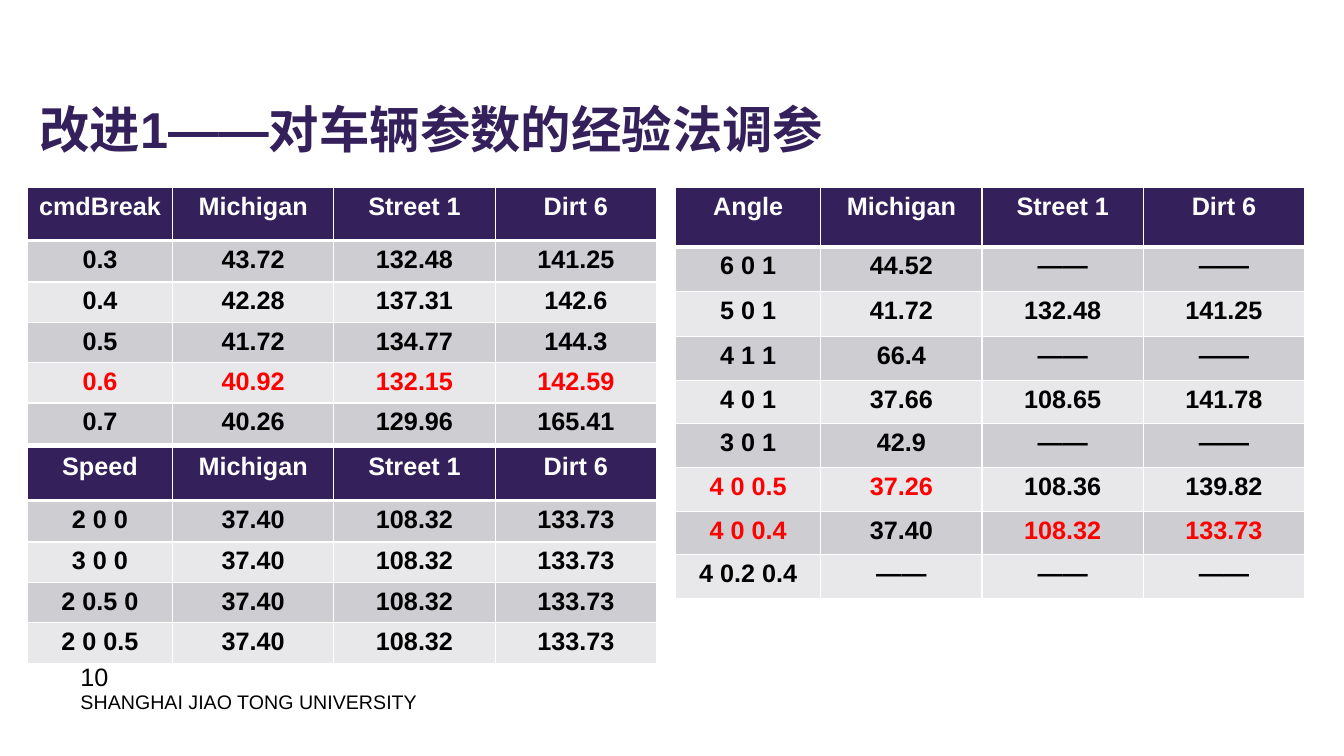
from dataclasses import dataclass

from lxml import etree
from pptx import Presentation
from pptx import util as u
from pptx.dml import color
from pptx.enum import text
from pptx.oxml import ns


@dataclass(frozen=True)
class Theme:
    font: str = "Arial"
    purple: str = "34205B"
    white: str = "FFFFFF"
    black: str = "000000"
    best: str = "FF0000"
    bands: tuple = ("CECDD2", "E8E8EA")
    title_size: int = 36
    body_size: int = 18
    footer_size: int = 14


theme = Theme()
deck = Presentation()
deck.slide_width, deck.slide_height = u.Pt(960), u.Pt(540)
page = deck.slides.add_slide(deck.slide_layouts[6])


def add_span(para, words, size, ink, bold=False):
    span = para.add_run()
    span.text = words
    span.font.name = theme.font
    span.font.size = u.Pt(size)
    span.font.bold = bold
    span.font.color.rgb = color.RGBColor.from_string(ink)


def add_border(cell, side, width):
    """Draw a white line on one side of a cell: L, R, T or B."""
    line = etree.SubElement(cell._tc.get_or_add_tcPr(), ns.qn(f"a:ln{side}"), w=str(u.Pt(width)))
    fill = etree.SubElement(line, ns.qn("a:solidFill"))
    etree.SubElement(fill, ns.qn("a:srgbClr"), val=theme.white)


# Footer and page number
for words, left, top, width, height, size in [
    ("SHANGHAI JIAO TONG UNIVERSITY", 50.4, 489, 366.5, 51, theme.footer_size),
    ("10", 50.4, 469, 34.6, 29, theme.body_size),
]:
    box = page.shapes.add_textbox(u.Pt(left), u.Pt(top), u.Pt(width), u.Pt(height))
    box.text_frame.word_wrap = True
    add_span(box.text_frame.paragraphs[0], words, size, theme.black)

# Title
title = page.shapes.add_textbox(u.Pt(28), u.Pt(53.3), u.Pt(788.4), u.Pt(82.8))
frame = title.text_frame
frame.word_wrap = True
frame.vertical_anchor = text.MSO_ANCHOR.MIDDLE
frame.margin_left = frame.margin_right = frame.margin_top = frame.margin_bottom = 0
frame.paragraphs[0].line_spacing = 0.9
add_span(frame.paragraphs[0], "改进1——对车辆参数的经验法调参", theme.title_size, theme.purple, bold=True)

# Lap-time tables: name of the tuned parameter, left, top, row heights, rows, best cells
tracks = ["Michigan", "Street 1", "Dirt 6"]
column_widths = [103.7, 115.2, 115.2, 115.2]
none = "——"
left_x, right_x, upper_y, lower_y = 19.6, 482.6, 133.9, 319.7

break_rows = [
    ["0.3", "43.72", "132.48", "141.25"],
    ["0.4", "42.28", "137.31", "142.6"],
    ["0.5", "41.72", "134.77", "144.3"],
    ["0.6", "40.92", "132.15", "142.59"],
    ["0.7", "40.26", "129.96", "165.41"],
]
angle_rows = [
    ["6 0 1", "44.52", none, none],
    ["5 0 1", "41.72", "132.48", "141.25"],
    ["4 1 1", "66.4", none, none],
    ["4 0 1", "37.66", "108.65", "141.78"],
    ["3 0 1", "42.9", none, none],
    ["4 0 0.5", "37.26", "108.36", "139.82"],
    ["4 0 0.4", "37.40", "108.32", "133.73"],
    ["4 0.2 0.4", none, none, none],
]
speed_rows = [[speed, "37.40", "108.32", "133.73"] for speed in ("2 0 0", "3 0 0", "2 0.5 0", "2 0 0.5")]

for parameter, left, top, heights, rows, best_cells in [
    ("cmdBreak", left_x, upper_y, [37.9, 29.6] + [28] * 4, break_rows, {(4, 0), (4, 1), (4, 2), (4, 3)}),
    ("Angle", right_x, upper_y, [42.5, 32, 32] + [31.2] * 6, angle_rows,
     {(6, 0), (6, 1), (7, 0), (7, 2), (7, 3)}),
    ("Speed", left_x, lower_y, [37.9, 29.6] + [28] * 3, speed_rows, set()),
]:
    grid = [[parameter] + tracks] + rows
    table = page.shapes.add_table(len(grid), len(column_widths), u.Pt(left), u.Pt(top),
                                  u.Pt(sum(column_widths)), u.Pt(sum(heights))).table
    for column, width in zip(table.columns, column_widths):
        column.width = u.Pt(width)
    for r, (values, height) in enumerate(zip(grid, heights)):
        table.rows[r].height = u.Pt(height)
        for c, value in enumerate(values):
            cell = table.cell(r, c)
            for side in "LRTB":
                at_header_edge = (r, side) in {(0, "B"), (1, "T")}
                add_border(cell, side, 3 if at_header_edge else 1)
            cell.fill.solid()
            shade = theme.purple if r == 0 else theme.bands[(r - 1) % 2]
            cell.fill.fore_color.rgb = color.RGBColor.from_string(shade)
            ink = theme.white if r == 0 else theme.best if (r, c) in best_cells else theme.black
            para = cell.text_frame.paragraphs[0]
            para.alignment = text.PP_ALIGN.CENTER
            add_span(para, value, theme.body_size, ink, bold=True)

deck.save("out.pptx")
